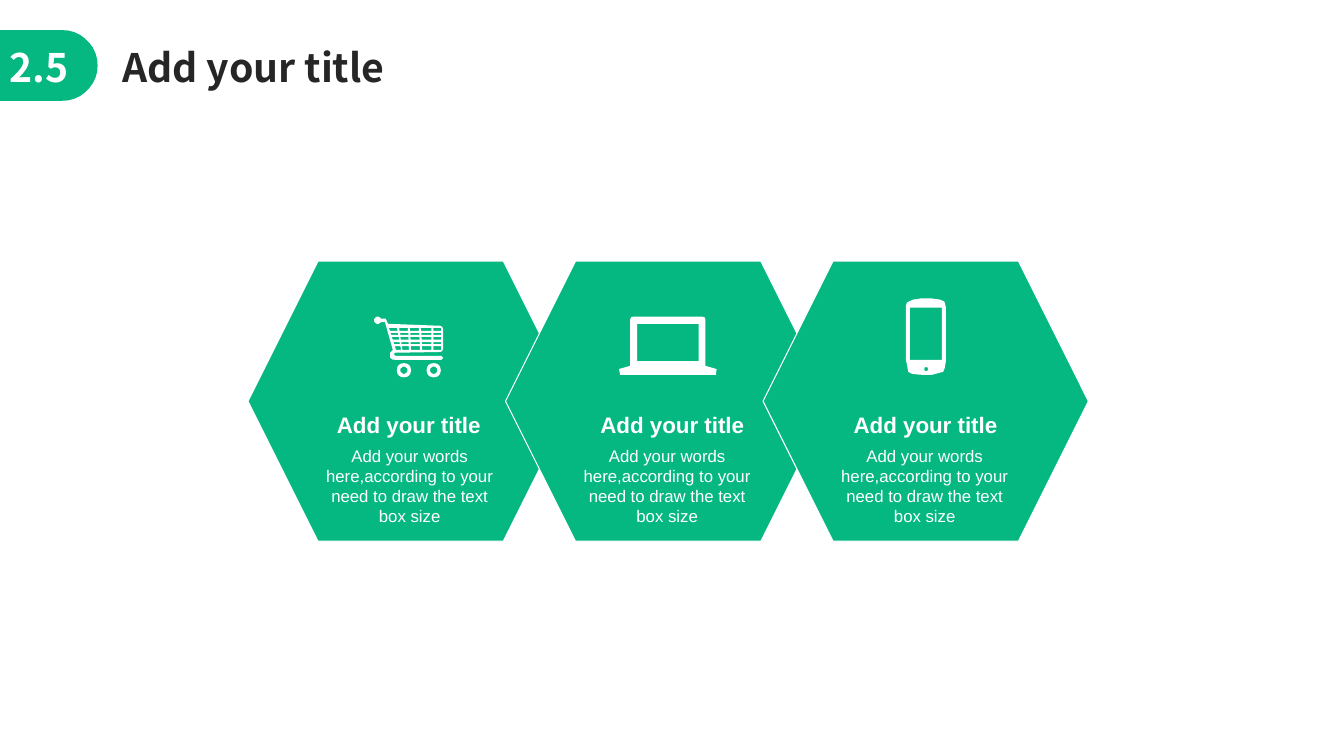
from math import cos, sin, radians
from pptx import Presentation
from pptx.dml.color import RGBColor
from pptx.enum.shapes import MSO_SHAPE as SHAPE
from pptx.enum.text import MSO_AUTO_SIZE as AUTO, PP_ALIGN as ALIGN
from pptx.util import Cm, Pt

GREEN, WHITE, DARK = '05B780', 'FFFFFF', '262626'
HEAD_FONT, BODY_FONT = 'Noto Sans CJK SC', 'Arial'
NUMBER, HEADING = '2.5', 'Add your title'
WORDS = 'Add your words here,according to your need to draw the text box size'
CARDS = [
    ('Add your title', 8.08, 4.45, WORDS),
    ('Add your title', 15.09, 3.71, WORDS),
    ('Add your title', 21.23, 4.19, WORDS),
]
HEX_LEFT, HEX_TOP, HEX_W, HEX_H, HEX_STEP = 6.25, 6.58, 8.2, 7.06, 6.49
WORDS_LEFT, WORDS_W = 8.1, 4.45


def arc(cx, cy, radius, start=0, end=345, step=15):
    count = round(abs(end - start) / step)
    angles = [radians(start + (end - start) * i / count) for i in range(count + 1)]
    return [(cx + radius * cos(a), cy + radius * sin(a)) for a in angles]


def box(left, top, right, bottom):
    return [(left, top), (right, top), (right, bottom), (left, bottom)]


BADGE = [[(0, 76), *arc(157, 165, 89, -90, 90, 10), (0, 254)]]

LAPTOP = [
    [(28, 8), (30, 2), (36, 0), (210, 0), (216, 2), (218, 8), (218, 124),
     (246, 132), (244, 147), (3, 147), (0, 132), (28, 124)],
    box(46, 18, 201, 112),
]

PHONE = [
    [(101, 23), (97, 8), (86, 3), (64, 0), (38, 0), (18, 3), (3, 10), (0, 18),
     (0, 155), (3, 168), (6, 185), (15, 190), (33, 192), (48, 193), (64, 193),
     (94, 185), (98, 175), (101, 157)],
    box(10, 23, 91, 155),
    arc(51, 178, 5),
]

CART_FRAME = [
    (170, 99), (56, 99), (50, 95), (53, 91), (168, 89), (173, 86), (175, 79),
    (175, 33), (173, 26), (168, 23), (36, 18), (30, 5), *arc(10, 9, 9, -30, -330),
    (28, 13), (48, 84), (41, 91), (41, 103), (47, 108), (56, 109), (170, 109),
    (175, 104),
]
BASKET_ROWS = [(28, 36), (41, 46), (51, 58), (64, 69), (74, 84)]
BASKET_COLUMNS = [
    (38, 56, 58, 69), (64, 72, 86, 89), (91, 94, 114, 117),
    (119, 122, 145, 145), (150, 150, 170, 170),
]


def slant(top_x, bottom_x, y):
    first, last = BASKET_ROWS[0][0], BASKET_ROWS[-1][1]
    return top_x + (bottom_x - top_x) * (y - first) / (last - first), y


CART = [CART_FRAME]
for top, bottom in BASKET_ROWS:
    for l1, l2, r1, r2 in BASKET_COLUMNS:
        CART.append([slant(l1, l2, top), slant(r1, r2, top),
                     slant(r1, r2, bottom), slant(l1, l2, bottom)])
for wheel_x in (76, 151):
    CART += [arc(wheel_x, 135, 18), arc(wheel_x, 135, 9)]

ICONS = [(CART, 9.42, 7.98), (LAPTOP, 15.6, 7.98), (PHONE, 22.83, 7.52)]


def rgb(value):
    return RGBColor.from_string(value)


def add_outline(shapes, contours, left, top, color):
    fb = shapes.build_freeform(*contours[0][0], scale=Cm(0.01))
    for i, points in enumerate(contours):
        if i:
            fb.move_to(*points[0])
        fb.add_line_segments(points[1:], close=True)
    sp = fb.convert_to_shape(Cm(left), Cm(top))
    sp.shadow.inherit = False
    sp.fill.solid()
    sp.fill.fore_color.rgb = rgb(color)
    sp.line.fill.background()


def add_hexagon(shapes, left):
    sp = shapes.add_shape(SHAPE.HEXAGON, Cm(left), Cm(HEX_TOP), Cm(HEX_W), Cm(HEX_H))
    sp.shadow.inherit = False
    sp.fill.solid()
    sp.fill.fore_color.rgb = rgb(GREEN)
    sp.line.color.rgb = rgb(WHITE)
    sp.line.width = Pt(0.75)


def add_text(shapes, text, left, top, width, height, size, font, color,
             bold=False, card=False):
    tf = shapes.add_textbox(Cm(left), Cm(top), Cm(width), Cm(height)).text_frame
    tf.word_wrap = True
    tf.auto_size = AUTO.SHAPE_TO_FIT_TEXT
    tf.text = text
    p = tf.paragraphs[0]
    if card:
        tf.margin_left = tf.margin_right = tf.margin_top = tf.margin_bottom = 0
        p.alignment = ALIGN.CENTER
    r = p.runs[0]
    r.font.name = font
    r.font.size = Pt(size)
    r.font.bold = bold
    r.font.color.rgb = rgb(color)


def main():
    prs = Presentation()
    prs.slide_width, prs.slide_height = Cm(33.87), Cm(19.05)
    shapes = prs.slides.add_slide(prs.slide_layouts[6]).shapes

    add_outline(shapes, BADGE, 0, 0, GREEN)
    add_text(shapes, NUMBER, 0, 0.97, 2.26, 1.45, 28, HEAD_FONT, WHITE, True)
    add_text(shapes, HEADING, 2.84, 0.97, 8.84, 1.45, 28, HEAD_FONT, DARK, True)

    for i in range(len(CARDS)):
        add_hexagon(shapes, HEX_LEFT + i * HEX_STEP)
    for contours, left, top in ICONS:
        add_outline(shapes, contours, left, top, WHITE)
    for i, (title, left, width, words) in enumerate(CARDS):
        add_text(shapes, title, left, 10.36, width, 0.69, 16, BODY_FONT, WHITE,
                 True, True)
        add_text(shapes, words, WORDS_LEFT + i * HEX_STEP, 11.22, WORDS_W, 2.06,
                 12, BODY_FONT, WHITE, card=True)

    prs.save("out.pptx")


if __name__ == "__main__":
    main()
